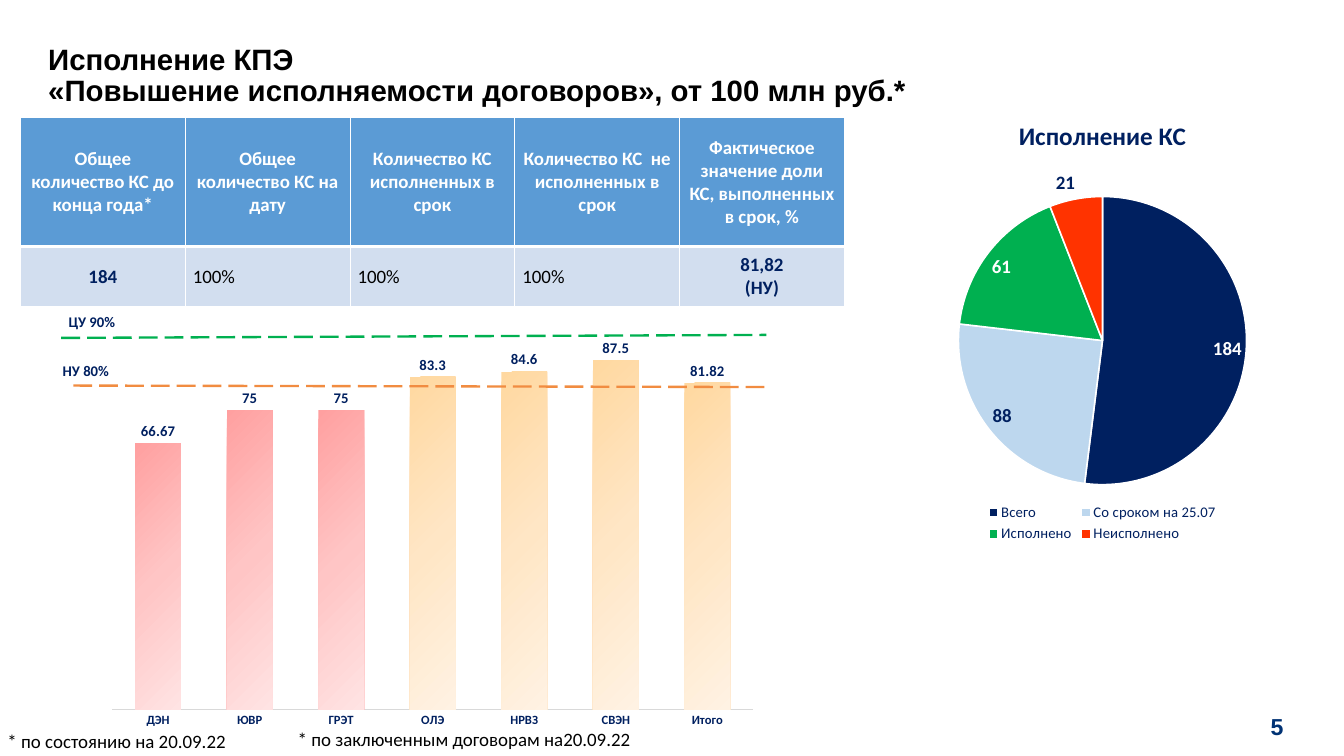
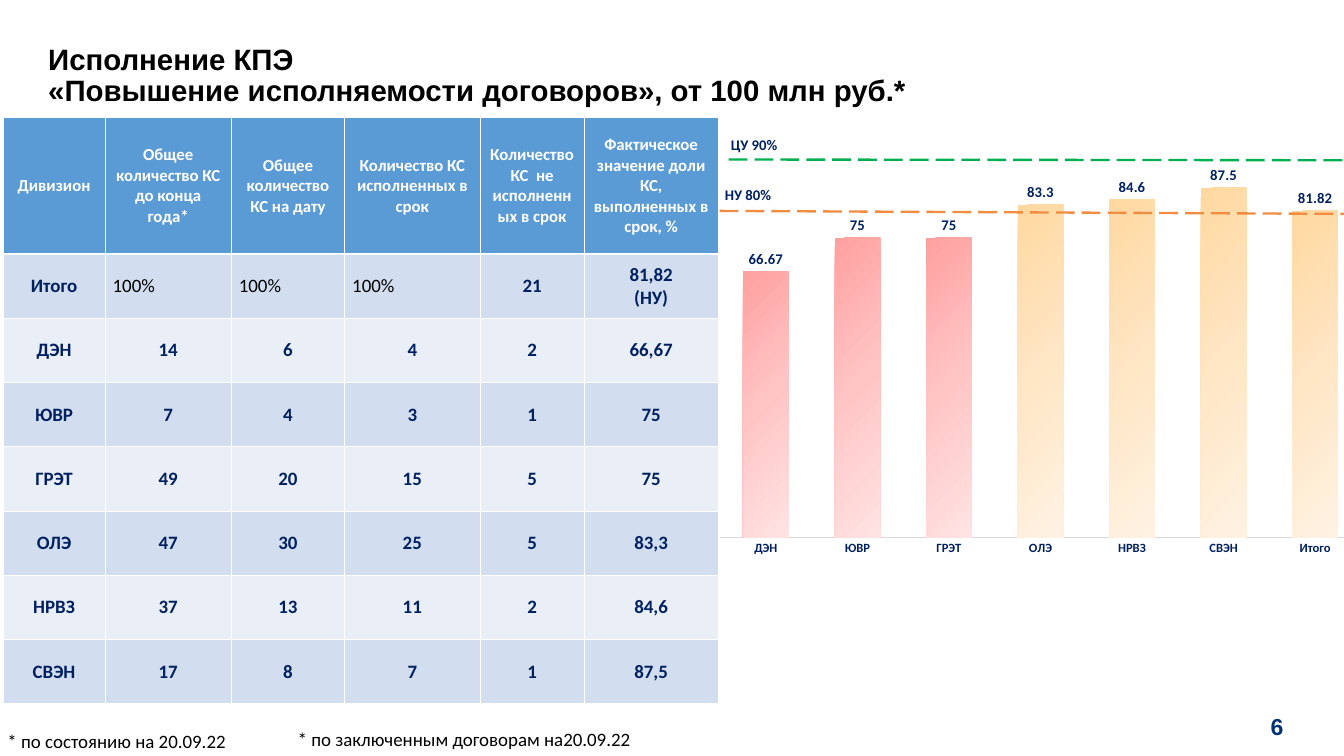
from pptx import Presentation
from pptx.chart.data import CategoryChartData
from pptx.dml.color import RGBColor
from pptx.enum.chart import XL_CHART_TYPE as CT, XL_LABEL_POSITION as LP
from pptx.enum.chart import XL_LEGEND_POSITION, XL_TICK_MARK
from pptx.enum.dml import MSO_LINE
from pptx.enum.shapes import MSO_CONNECTOR
from pptx.enum.text import MSO_ANCHOR, PP_ALIGN
from pptx.oxml import parse_xml
from pptx.oxml.ns import nsdecls, qn
from pptx.util import Inches, Pt
from lxml import etree

WHITE = RGBColor(0xFF, 0xFF, 0xFF)
BLACK = RGBColor(0, 0, 0)
NAVY = RGBColor(0x00, 0x20, 0x60)
PAGE_BLUE = RGBColor(0x00, 0x32, 0x74)
HEADER_BLUE = RGBColor(0x5B, 0x9B, 0xD5)
BAND_DARK = RGBColor(0xD2, 0xDE, 0xEF)
BAND_LIGHT = RGBColor(0xEA, 0xEF, 0xF7)
PALE_BLUE = RGBColor(0xBD, 0xD7, 0xEE)
GREEN = RGBColor(0x00, 0xB0, 0x50)
RED = RGBColor(0xFF, 0x33, 0x00)
ORANGE = RGBColor(0xF1, 0x8C, 0x41)
GREY = RGBColor(0xD9, 0xD9, 0xD9)
RED_BAR = [RGBColor(0xFF, v, v) for v in (0xA0, 0xC5, 0xE3)]
AMBER_BAR = [RGBColor(0xFF, 0xD8, 0xA0), RGBColor(0xFF, 0xE6, 0xC5), RGBColor(0xFF, 0xF2, 0xE3)]

TITLE = "Исполнение КПЭ\n«Повышение исполняемости договоров», от 100 млн руб.*"
HEADERS = [
    "Общее количество КС до конца года*",
    "Общее количество КС на дату",
    "Количество КС исполненных в срок",
    "Количество КС  не исполненных в срок",
    "Фактическое значение доли КС, выполненных в срок, %",
]
TOTAL = "Итого"
TOTAL_SHARE = "81,82\n(НУ)"
PERCENT = "100%"
DIVISIONS = [
    ("ДЭН", "14", "6", "4", "2", "66,67"),
    ("ЮВР", "7", "4", "3", "1", "75"),
    ("ГРЭТ", "49", "20", "15", "5", "75"),
    ("ОЛЭ", "47", "30", "25", "5", "83,3"),
    ("НРВЗ", "37", "13", "11", "2", "84,6"),
    ("СВЭН", "17", "8", "7", "1", "87,5"),
]
RATES = [(row[0], float(row[-1].replace(",", "."))) for row in DIVISIONS] + [(TOTAL, 81.82)]
LOWER_LEVEL = 80
PIE_PARTS = [("Всего", 184, NAVY), ("Со сроком на 25.07", 88, PALE_BLUE),
             ("Исполнено", 61, GREEN), ("Неисполнено", 21, RED)]


def style_font(font, size, color, bold=False, name="Calibri"):
    font.size = Pt(size)
    font.name = name
    font.bold = bold
    font.color.rgb = color


def add_text(slide, box, text, size, color, bold=False, name="Calibri", wrap=True,
             anchor=MSO_ANCHOR.TOP, align=PP_ALIGN.LEFT, spacing=None):
    tf = slide.shapes.add_textbox(*map(Inches, box)).text_frame
    tf.word_wrap = wrap
    tf.vertical_anchor = anchor
    tf.text = text
    for p in tf.paragraphs:
        p.alignment = align
        p.line_spacing = spacing
        style_font(p.font, size, color, bold, name)
    return tf


def add_base(prs, number):
    slide = prs.slides.add_slide(prs.slide_layouts[6])
    tf = add_text(slide, (16.28, 9.33, 1.22, 0.55), number, 22, PAGE_BLUE, True, "Arial",
                  anchor=MSO_ANCHOR.MIDDLE, align=PP_ALIGN.RIGHT)
    tf.margin_left = tf.margin_top = tf.margin_bottom = 0
    tf.margin_right = Inches(0.52)
    add_text(slide, (0.54, 0.69, 12.84, 0.64), TITLE, 28, BLACK, True, "Arial",
             anchor=MSO_ANCHOR.MIDDLE, spacing=0.9)
    return slide


def add_footnotes(slide):
    add_text(slide, (0, 9.6, 3.12, 0.4), "* по состоянию на 20.09.22", 18, BLACK, wrap=False)
    add_text(slide, (3.84, 9.58, 4.71, 0.4), "* по заключенным договорам на20.09.22",
             18, BLACK, wrap=False)


def set_borders(cell, bottom):
    tc_pr = cell._tc.get_or_add_tcPr()
    widths = [("lnL", 1), ("lnR", 1), ("lnT", 1), ("lnB", bottom)]
    for i, (side, width) in enumerate(widths):
        tc_pr.insert(i, parse_xml(
            f'<a:{side} {nsdecls("a")} w="{Pt(width)}"><a:solidFill>'
            f'<a:srgbClr val="{WHITE}"/></a:solidFill></a:{side}>'))


def fill_cell(cell, text, size, color, bold, fill, align, bottom=1):
    cell.text = text
    cell.vertical_anchor = MSO_ANCHOR.MIDDLE
    cell.fill.solid()
    cell.fill.fore_color.rgb = fill
    set_borders(cell, bottom)
    for p in cell.text_frame.paragraphs:
        p.alignment = align
        style_font(p.font, size, color, bold)


def add_kpi_table(slide, left, widths, heights, rows, header_size):
    box = (left, 1.56, sum(widths), sum(heights))
    table = slide.shapes.add_table(len(rows), len(widths), *map(Inches, box)).table
    for col, width in zip(table.columns, widths):
        col.width = Inches(width)
    for r, (row, height) in enumerate(zip(rows, heights)):
        table.rows[r].height = Inches(height)
        for c, text in enumerate(row):
            cell = table.cell(r, c)
            if r == 0:
                fill_cell(cell, text, header_size, WHITE, True, HEADER_BLUE, PP_ALIGN.CENTER, 3)
                continue
            band = BAND_DARK if r % 2 else BAND_LIGHT
            if text == PERCENT:
                fill_cell(cell, text, 18, BLACK, False, band, PP_ALIGN.LEFT)
            else:
                fill_cell(cell, text, 18, NAVY, True, band, PP_ALIGN.CENTER)


def add_chart(slide, kind, box, name, pairs, label_size, label_color, label_position):
    data = CategoryChartData()
    data.categories = [label for label, _ in pairs]
    data.add_series(name, [value for _, value in pairs])
    chart = slide.shapes.add_chart(kind, *map(Inches, box), data).chart
    style_font(chart.font, 10, BLACK)
    plot = chart.plots[0]
    labels = plot.series[0].data_labels
    labels.show_value = True
    labels.position = label_position
    style_font(labels.font, label_size, label_color, True)
    return chart, plot


def set_gradient(series, index, colors):
    stops = "".join(f'<a:gs pos="{i * 50000}"><a:srgbClr val="{color}"/></a:gs>'
                    for i, color in enumerate(colors))
    sp_pr = series._element.get_or_add_dPt_for_point(index).get_or_add_spPr()
    sp_pr.insert(0, parse_xml(
        f'<a:gradFill {nsdecls("a")} rotWithShape="1"><a:gsLst>{stops}</a:gsLst>'
        '<a:lin ang="2700000" scaled="0"/></a:gradFill>'))


def add_rate_chart(slide, left, top):
    chart, plot = add_chart(slide, CT.COLUMN_CLUSTERED, (left, top, 8.83, 5.75),
                            "Series 1", RATES, 14, NAVY, LP.OUTSIDE_END)
    chart.has_title = False
    chart.has_legend = False
    plot.gap_width = 100
    plot.overlap = 36
    plot.vary_by_categories = False
    series = plot.series[0]
    series.format.fill.solid()
    series.format.fill.fore_color.rgb = HEADER_BLUE
    series.invert_if_negative = False
    for i, (_, rate) in enumerate(RATES):
        set_gradient(series, i, RED_BAR if rate < LOWER_LEVEL else AMBER_BAR)
    axis = chart.category_axis
    axis.major_tick_mark = axis.minor_tick_mark = XL_TICK_MARK.NONE
    style_font(axis.tick_labels.font, 12, NAVY, True)
    axis.format.line.color.rgb = GREY
    axis.format.line.width = Pt(0.75)
    values = chart.value_axis
    values.minimum_scale, values.maximum_scale = 0, 100
    values.major_tick_mark = values.minor_tick_mark = XL_TICK_MARK.NONE
    values.has_major_gridlines = False
    values.visible = False


def add_pie_chart(slide):
    title = "Исполнение КС"
    chart, plot = add_chart(slide, CT.PIE, (11.42, 1.34, 6.33, 5.88), title,
                            [part[:2] for part in PIE_PARTS], 18, WHITE, LP.INSIDE_END)
    chart.has_title = True
    tf = chart.chart_title.text_frame
    tf.text = title
    style_font(tf.paragraphs[0].font, 24, NAVY, True)
    chart.has_legend = True
    chart.legend.position = XL_LEGEND_POSITION.BOTTOM
    chart.legend.include_in_layout = False
    style_font(chart.legend.font, 14, NAVY)
    plot.vary_by_categories = True
    points = plot.series[0].points
    for i, (_, _, color) in enumerate(PIE_PARTS):
        fmt = points[i].format
        fmt.fill.solid()
        fmt.fill.fore_color.rgb = color
        fmt.line.color.rgb = WHITE
        fmt.line.width = Pt(1.5)
    for i, position in ((1, LP.INSIDE_END), (3, LP.OUTSIDE_END)):
        label = points[i].data_label
        style_font(label.font, 18, NAVY, True)
        label.position = position


def add_level_line(slide, start, end, color):
    line = slide.shapes.add_connector(MSO_CONNECTOR.STRAIGHT, *map(Inches, start + end))
    line.line.color.rgb = color
    line.line.width = Pt(2.25)
    line.line.dash_style = MSO_LINE.LONG_DASH
    etree.SubElement(line._element.spPr, qn("a:effectLst"))


def add_rate_panel(slide, chart_at, target_at, lower_at, target_line, lower_line):
    for at, text in ((target_at, "ЦУ 90%"), (lower_at, "НУ 80%")):
        add_text(slide, at + (0.92, 0.34), text, 14, NAVY, True)
    add_rate_chart(slide, *chart_at)
    add_level_line(slide, *lower_line, ORANGE)
    add_level_line(slide, *target_line, GREEN)


def add_summary_slide(prs):
    slide = add_base(prs, "5")
    rows = [HEADERS, ["184", PERCENT, PERCENT, PERCENT, TOTAL_SHARE]]
    add_kpi_table(slide, 0.27, [2.18] * 5, [1.7, 0.8], rows, 18)
    add_pie_chart(slide)
    add_rate_panel(slide, (1.31, 3.99), (0.81, 4.09), (0.73, 4.74),
                   ((0.81, 4.47), (10.14, 4.43)), ((0.97, 5.1), (10.14, 5.12)))
    add_footnotes(slide)


def add_division_slide(prs):
    slide = add_base(prs, "6")
    rows = [["Дивизион"] + HEADERS,
            [TOTAL, PERCENT, PERCENT, PERCENT, "21", TOTAL_SHARE]] + DIVISIONS
    add_kpi_table(slide, 0.04, [1.35, 1.67, 1.5, 1.79, 1.38, 1.77],
                  [1.8] + [0.85] * 7, rows, 16)
    add_rate_panel(slide, (9.35, 1.71), (9.57, 1.75), (9.49, 2.41),
                   ((9.64, 2.11), (17.78, 2.12)), ((9.52, 2.79), (17.93, 2.83)))
    add_footnotes(slide)


def main():
    prs = Presentation()
    prs.slide_width = Inches(17.78)
    prs.slide_height = Inches(10)
    add_summary_slide(prs)
    add_division_slide(prs)
    prs.save("out.pptx")


if __name__ == "__main__":
    main()
